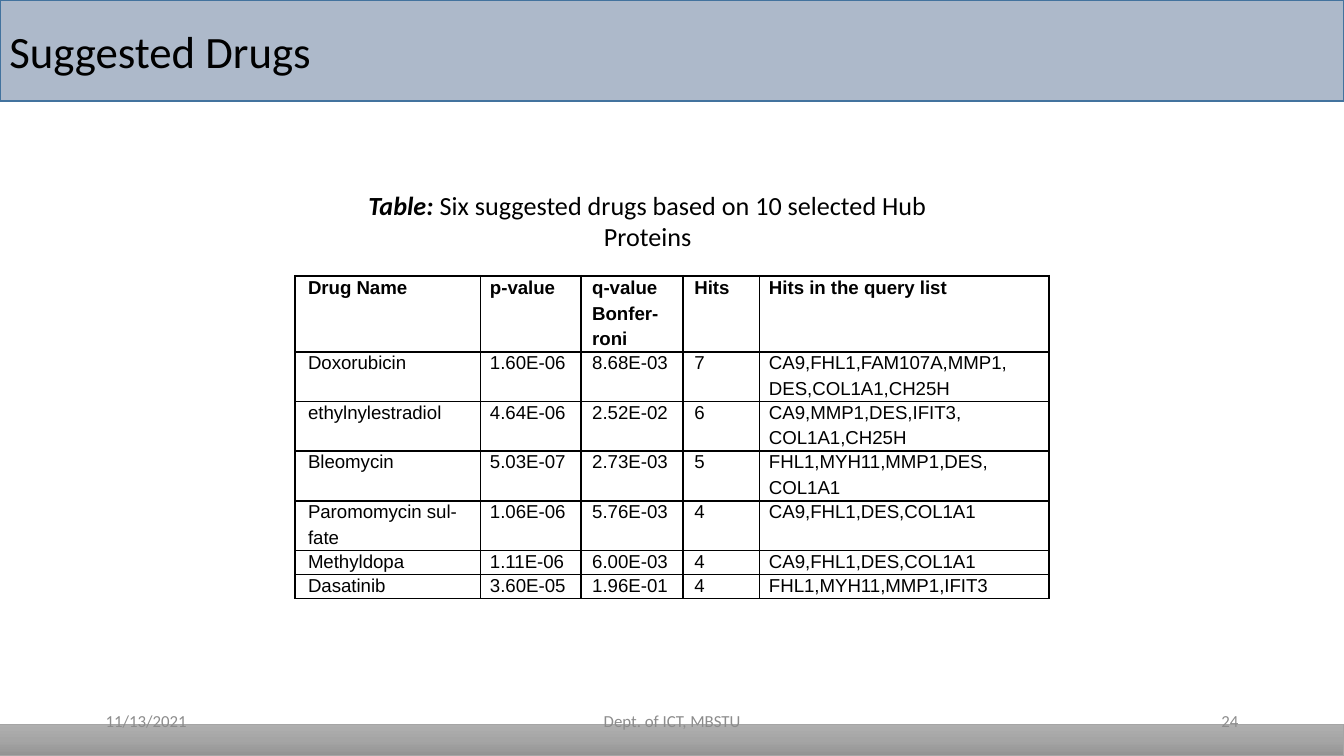
import copy
import itertools

import pptx
import pptx.dml.color
import pptx.enum.shapes
import pptx.enum.text
import pptx.oxml
import pptx.oxml.ns
import pptx.util

Pt = pptx.util.Pt
ALIGN = pptx.enum.text.PP_ALIGN
ANCHOR = pptx.enum.text.MSO_ANCHOR

COLORS = {"text": "000000", "muted": "8C8C8C", "banner": "ADB9CA",
          "banner_line": "43739E", "band_line": "A5A5A5"}
BAND_GRADIENT = ["AFAFAF", "A5A5A5", "939393"]

TITLE = "Suggested Drugs"
CAPTION = [("Table: ", True),
           ("Six suggested drugs based on 10 selected Hub Proteins", False)]

# Each line of a cell has its own table row; a thin ruled row closes each drug.
DRUGS = [
    ("Drug Name", "p-value", "q-value\nBonfer-\nroni", "Hits", "Hits in the query list"),
    ("Doxorubicin", "1.60E-06", "8.68E-03", "7", "CA9,FHL1,FAM107A,MMP1,\nDES,COL1A1,CH25H"),
    ("ethylnylestradiol", "4.64E-06", "2.52E-02", "6", "CA9,MMP1,DES,IFIT3,\nCOL1A1,CH25H"),
    ("Bleomycin", "5.03E-07", "2.73E-03", "5", "FHL1,MYH11,MMP1,DES,\nCOL1A1"),
    ("Paromomycin sul-\nfate", "1.06E-06", "5.76E-03", "4", "CA9,FHL1,DES,COL1A1"),
    ("Methyldopa", "1.11E-06", "6.00E-03", "4", "CA9,FHL1,DES,COL1A1"),
    ("Dasatinib", "3.60E-05", "1.96E-01", "4", "FHL1,MYH11,MMP1,IFIT3"),
]
COLUMN_WIDTHS = [99.5, 53.75, 54.75, 41, 155]
COLUMN_INDENTS = [7, 5, 6, 6, 5]
TABLE_LEFT, TABLE_TOP = 158, 147.75
HEADER_HEIGHT, FIRST_HEIGHT, NEXT_HEIGHT, RULE_HEIGHT = 12.2, 11.7, 13.7, 1
NO_STYLE = "{2D5ABB26-0587-4C30-8999-92F81FD0307C}"

FOOTERS = [
    ("11/13/2021", 49.5, 162, ALIGN.LEFT),
    ("24", 508.5, 162, ALIGN.RIGHT),
    ("Dept. of ICT, MBSTU", 238.5, 243, ALIGN.CENTER),
]


def rgb(hex_color):
    return pptx.dml.color.RGBColor.from_string(hex_color)


def set_font(font, name, size, color="text", bold=None):
    font.name, font.size, font.bold = name, Pt(size), bold
    font.color.rgb = rgb(COLORS[color])


def place(shape, left, top, width, height):
    shape.left, shape.top = Pt(left), Pt(top)
    shape.width, shape.height = Pt(width), Pt(height)


def add_title(slide):
    title = slide.shapes.title
    place(title, 0, 0, 720, 54)
    title.fill.solid()
    title.fill.fore_color.rgb = rgb(COLORS["banner"])
    title.line.color.rgb = rgb(COLORS["banner_line"])
    title.line.width = Pt(1)
    frame = title.text_frame
    frame.text = TITLE
    frame.auto_size = pptx.enum.text.MSO_AUTO_SIZE.NONE
    frame.vertical_anchor = ANCHOR.MIDDLE
    frame.margin_left = frame.margin_right = Pt(5)
    frame.margin_top = frame.margin_bottom = Pt(3)
    frame.paragraphs[0].alignment = ALIGN.LEFT
    set_font(frame.paragraphs[0].font, "Calibri", 24)


def add_bottom_band(slide):
    band = slide.shapes.add_shape(pptx.enum.shapes.MSO_SHAPE.RECTANGLE,
                                  0, Pt(388), Pt(720), Pt(17))
    band.shadow.inherit = False
    band.line.color.rgb = rgb(COLORS["band_line"])
    band.line.width = Pt(0.5)
    band.fill.gradient()
    band.fill.gradient_angle = 270
    first_stop = next(band.element.iter(pptx.oxml.ns.qn("a:gs")))
    first_stop.addnext(copy.deepcopy(first_stop))
    for stop, color, position in zip(band.fill.gradient_stops, BAND_GRADIENT, (0, 0.5, 1)):
        stop.color.rgb = rgb(color)
        stop.position = position


def add_text(slide, left, top, width, height):
    box = slide.shapes.add_textbox(Pt(left), Pt(top), Pt(width), Pt(height))
    box.text_frame.word_wrap = True
    return box.text_frame


def add_border(cell, side):
    cell._tc.get_or_add_tcPr().append(pptx.oxml.parse_xml(
        f'<a:ln{side} {pptx.oxml.ns.nsdecls("a")} w="{Pt(1)}"><a:solidFill>'
        f'<a:srgbClr val="{COLORS["text"]}"/></a:solidFill></a:ln{side}>'))


def plan_rows():
    """Return (cell texts, height, is header, starts a drug, is rule) per table row."""
    rows = []
    for index, drug in enumerate(DRUGS):
        header = index == 0
        lines = itertools.zip_longest(*(text.split("\n") for text in drug), fillvalue="")
        for number, texts in enumerate(lines):
            first_height = HEADER_HEIGHT if header else FIRST_HEIGHT
            height = NEXT_HEIGHT if number else first_height
            rows.append((texts, height, header, number == 0, False))
        rows.append(([""] * len(drug), RULE_HEIGHT, header, False, True))
    return rows


def fill_cell(cell, text, indent, header, first, rule):
    cell.margin_left = cell.margin_right = cell.margin_top = cell.margin_bottom = 0
    cell.vertical_anchor = ANCHOR.BOTTOM
    paragraph = cell.text_frame.paragraphs[0]
    paragraph._p.get_or_add_pPr().set("marL", str(Pt(indent)))
    if text:
        paragraph.text = text
        if first and not header:
            paragraph.line_spacing = Pt(11.4)
        set_font(paragraph.font, "Arial", 10, bold=header)
    else:
        size = 1 if rule else 8
        paragraph._p.append(pptx.oxml.parse_xml(
            f'<a:endParaRPr {pptx.oxml.ns.nsdecls("a")} sz="{size * 100}"/>'))
    sides = ["L", "R"] + ["T"] * (header and first) + ["B"] * rule
    for side in sides:
        add_border(cell, side)
    cell.fill.background()


def add_drug_table(slide):
    rows = plan_rows()
    frame = slide.shapes.add_table(len(rows), len(COLUMN_WIDTHS), Pt(TABLE_LEFT), Pt(TABLE_TOP),
                                   Pt(sum(COLUMN_WIDTHS)), Pt(sum(row[1] for row in rows)))
    table = frame.table
    table.first_row = table.horz_banding = False
    next(table._tbl.iter(pptx.oxml.ns.qn("a:tableStyleId"))).text = NO_STYLE
    for column, width in zip(table.columns, COLUMN_WIDTHS):
        column.width = Pt(width)
    for row, (texts, height, header, first, rule) in zip(table.rows, rows):
        row.height = Pt(height)
        for cell, text, indent in zip(row.cells, texts, COLUMN_INDENTS):
            fill_cell(cell, text, indent, header, first, rule)


def add_caption(slide):
    paragraph = add_text(slide, 167, 98, 360, 41).paragraphs[0]
    paragraph.alignment = ALIGN.CENTER
    set_font(paragraph.font, "Calibri", 14)
    for text, emphasized in CAPTION:
        run = paragraph.add_run()
        run.text = text
        run.font.bold = run.font.italic = emphasized


def add_footers(slide):
    for text, left, width, alignment in FOOTERS:
        frame = add_text(slide, left, 375.25, width, 21.5)
        frame.vertical_anchor = ANCHOR.MIDDLE
        frame.text = text
        frame.paragraphs[0].alignment = alignment
        set_font(frame.paragraphs[0].font, "Calibri", 9, "muted")


def main():
    deck = pptx.Presentation()
    deck.slide_width, deck.slide_height = Pt(720), Pt(405)
    slide = deck.slides.add_slide(deck.slide_layouts.get_by_name("Title Only"))
    add_title(slide)
    add_bottom_band(slide)
    add_drug_table(slide)
    add_caption(slide)
    add_footers(slide)
    deck.save("out.pptx")


if __name__ == "__main__":
    main()
